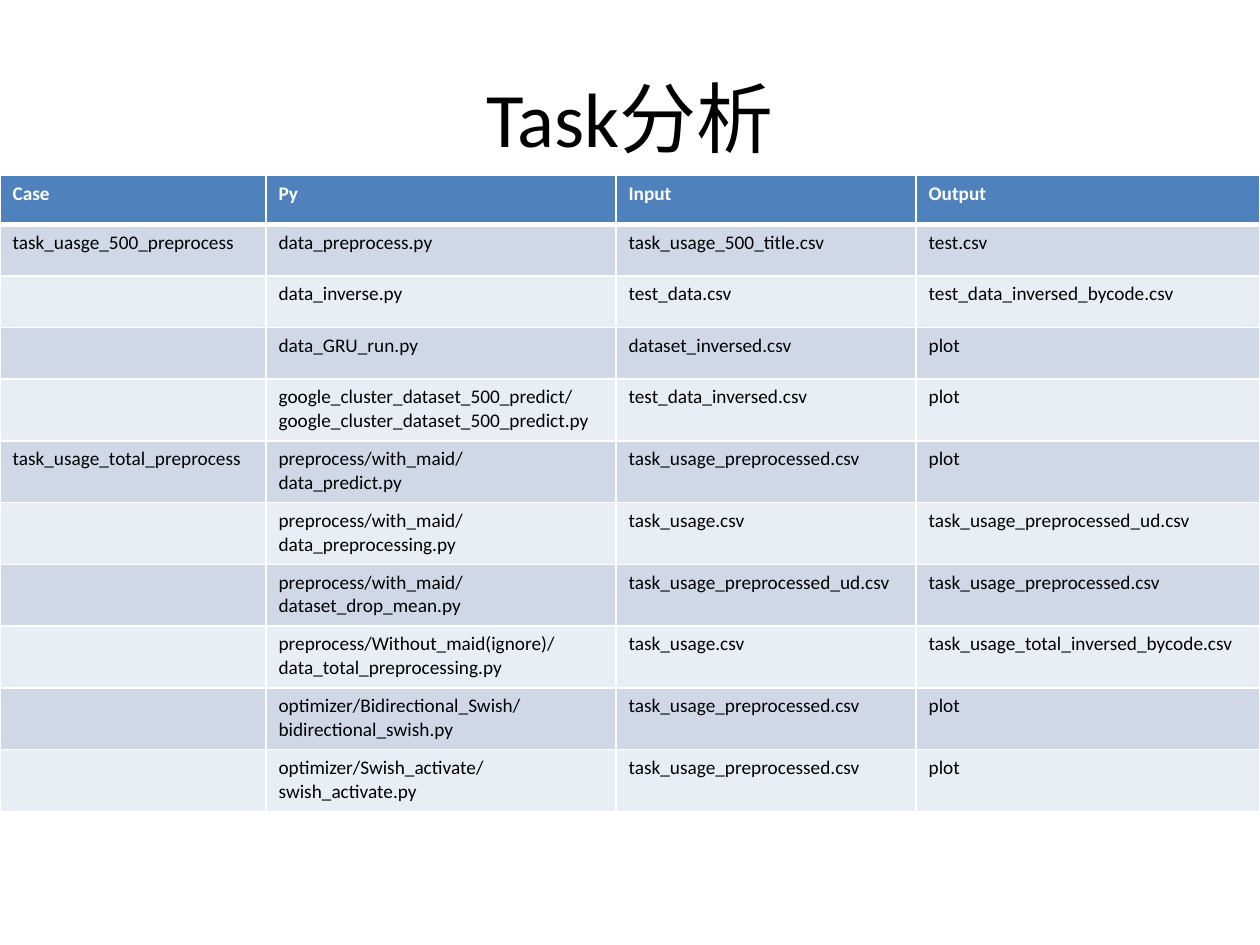
from pptx import Presentation
from pptx.dml.color import RGBColor as RGB
from pptx.enum.text import MSO_ANCHOR as Anchor, PP_ALIGN as Align
from pptx.oxml.ns import qn
from pptx.util import Pt
from lxml.etree import SubElement as Sub

FONT = "Calibri"
WHITE, BLACK = "FFFFFF", "000000"
HEAD, BANDS = "4F81BD", ("D0D8E8", "E9EDF4")

COLS = [152, 200, 171.5, 196.5]
HEIGHTS = [28] + [29.5] * 3 + [35.3] * 7

PLAIN, MAID = "task_usage_preprocessed.csv", "preprocess/with_maid/\n"
ROWS = [
    ("Case", "Py", "Input", "Output"),
    ("task_uasge_500_preprocess", "data_preprocess.py",
     "task_usage_500_title.csv", "test.csv"),
    ("", "data_inverse.py", "test_data.csv", "test_data_inversed_bycode.csv"),
    ("", "data_GRU_run.py", "dataset_inversed.csv", "plot"),
    ("", "google_cluster_dataset_500_predict/\n"
         "google_cluster_dataset_500_predict.py",
     "test_data_inversed.csv", "plot"),
    ("task_usage_total_preprocess", MAID + "data_predict.py", PLAIN, "plot"),
    ("", MAID + "data_preprocessing.py",
     "task_usage.csv", "task_usage_preprocessed_ud.csv"),
    ("", MAID + "dataset_drop_mean.py",
     "task_usage_preprocessed_ud.csv", PLAIN),
    ("", "preprocess/Without_maid(ignore)/\ndata_total_preprocessing.py",
     "task_usage.csv", "task_usage_total_inversed_bycode.csv"),
    ("", "optimizer/Bidirectional_Swish/\nbidirectional_swish.py",
     PLAIN, "plot"),
    ("", "optimizer/Swish_activate/\nswish_activate.py", PLAIN, "plot"),
]


def color(code):
    return RGB.from_string(code)


def style(frame, size, code, bold=False):
    for para in frame.paragraphs:
        for run in para.runs:
            font = run.font
            font.name, font.size, font.bold = FONT, Pt(size), bold
            font.color.rgb = color(code)


def border(cell, side, width):
    props = cell._tc.get_or_add_tcPr()
    line = Sub(props, qn("a:ln" + side), w=str(Pt(width)))
    fill = Sub(line, qn("a:solidFill"))
    Sub(fill, qn("a:srgbClr"), val=WHITE)


def add_title(slide, text):
    box = slide.shapes.add_textbox(Pt(36), Pt(21.6), Pt(648), Pt(90))
    frame = box.text_frame
    frame.word_wrap = True
    frame.vertical_anchor = Anchor.MIDDLE
    frame.text = text
    frame.paragraphs[0].alignment = Align.CENTER
    style(frame, 44, BLACK)


def fill_cell(cell, text, row):
    head = row == 0
    cell.text_frame.text = text
    style(cell.text_frame, 11, WHITE if head else BLACK, head)
    # A thick rule parts the header from the body
    for side in "LRTB":
        thick = (row, side) in ((0, "B"), (1, "T"))
        border(cell, side, 3 if thick else 1)
    cell.fill.solid()
    cell.fill.fore_color.rgb = color(HEAD if head else BANDS[(row - 1) % 2])


def add_grid(slide):
    shape = slide.shapes.add_table(len(ROWS), len(COLS), Pt(0), Pt(100.2),
                                   Pt(sum(COLS)), Pt(sum(HEIGHTS)))
    table = shape.table
    for col, width in zip(table.columns, COLS):
        col.width = Pt(width)
    for row, height in zip(table.rows, HEIGHTS):
        row.height = Pt(height)
    for r, texts in enumerate(ROWS):
        for c, text in enumerate(texts):
            fill_cell(table.cell(r, c), text, r)


def main():
    deck = Presentation()
    deck.slide_width, deck.slide_height = Pt(720), Pt(540)
    slide = deck.slides.add_slide(deck.slide_layouts[6])
    # Heading, then the table of scripts and files
    add_title(slide, "Task分析")
    add_grid(slide)
    deck.save("out.pptx")


if __name__ == "__main__":
    main()
